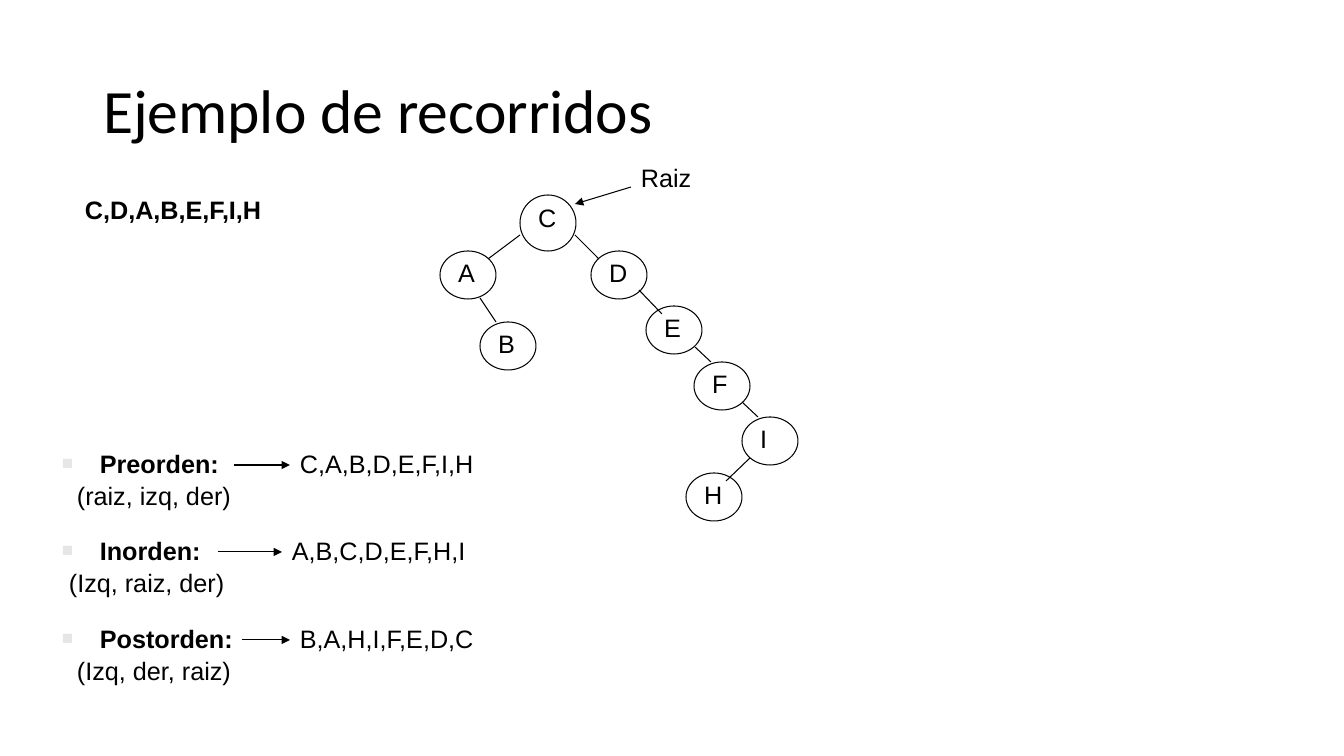
from pptx import Presentation
from pptx.dml.color import RGBColor
from pptx.enum.shapes import MSO_CONNECTOR, MSO_SHAPE
from pptx.enum.text import MSO_ANCHOR, MSO_AUTO_SIZE, PP_ALIGN
from pptx.oxml.ns import qn
from pptx.util import Pt
from lxml.etree import SubElement

PX = 914400 / 100.8
BLACK = RGBColor(0, 0, 0)
WHITE = RGBColor(255, 255, 255)
GREY = RGBColor(0xE7, 0xE6, 0xE6)


def write(shape, text, size=18, font="Arial", bold=False, space=0.8,
          anchor=MSO_ANCHOR.TOP, bullet=False):
    """Put one left-aligned paragraph of text in a shape."""
    frame = shape.text_frame
    frame.word_wrap = True
    frame.auto_size = MSO_AUTO_SIZE.NONE
    frame.vertical_anchor = anchor
    par = frame.paragraphs[0]
    par.alignment = PP_ALIGN.LEFT
    par.line_spacing = space
    run = par.add_run()
    run.text = text
    run.font.size = Pt(size)
    run.font.name = font
    run.font.bold = bold
    run.font.color.rgb = BLACK
    if bullet:
        props = par._p.get_or_add_pPr()
        props.set("marL", str(round(38 * PX)))
        props.set("indent", str(round(-38 * PX)))
        color = SubElement(props, qn("a:buClr"))
        SubElement(color, qn("a:srgbClr"), val=str(GREY))
        SubElement(props, qn("a:buSzPct"), val="75000")
        SubElement(props, qn("a:buFont"), typeface="Arial")
        SubElement(props, qn("a:buChar"), char="■")


def link(ends, arrow=False):
    """Draw a thin black line, with an arrowhead at its end if asked."""
    line = slide.shapes.add_connector(
        MSO_CONNECTOR.STRAIGHT, *[round(v * PX) for v in ends])
    line.line.color.rgb = BLACK
    line.line.width = Pt(0.75)
    if arrow:
        SubElement(line.line._get_or_add_ln(), qn("a:tailEnd"), type="triangle")
    SubElement(line._element.spPr, qn("a:effectLst"))


deck = Presentation()
deck.slide_width = round(1344 * PX)
deck.slide_height = round(756 * PX)
slide = deck.slides.add_slide(deck.slide_layouts[5])

title = slide.shapes.title
title.left, title.top, title.width, title.height = [
    round(v * PX) for v in (93, 41, 1159, 146)]
write(title, "Ejemplo de recorridos", size=44, font="Calibri", space=0.9,
      anchor=MSO_ANCHOR.MIDDLE)

# Tree nodes: name, left, top, height
nodes = [
    ("C", 520, 195, 56), ("H", 686, 473, 48), ("I", 742, 417, 48),
    ("F", 694, 362, 48), ("E", 646, 306, 48), ("B", 480, 322, 48),
    ("A", 440, 251, 48), ("D", 591, 251, 48),
]
for name, x, y, high in nodes:
    node = slide.shapes.add_shape(
        MSO_SHAPE.OVAL, *[round(v * PX) for v in (x, y, 56, high)])
    node.shadow.inherit = False
    node.fill.solid()
    node.fill.fore_color.rgb = WHITE
    node.line.color.rgb = BLACK
    node.line.width = Pt(0.75)
    write(node, name)

# Tree edges, parent to child
edges = [
    (575, 235, 599, 259), (639, 290, 662, 314), (695, 347, 711, 362),
    (742, 402, 758, 417), (750, 458, 726, 481), (520, 235, 488, 259),
    (480, 298, 496, 322),
]
for edge in edges:
    link(edge)
link((631, 187, 575, 204), arrow=True)

# Text boxes: text, left, top, width, format
texts = [
    ("C,D,A,B,E,F,I,H", 75, 195, 238, {"bold": True}),
    ("Raiz", 631, 163, 72, {}),
]

# Traversals: name, rule, rule left, arrow start, result, result left
orders = [
    ("Preorden:", "(raiz, izq, der)", 67, 234, "C,A,B,D,E,F,I,H", 290),
    ("Inorden:", "(Izq, raiz, der)", 59, 218, "A,B,C,D,E,F,H,I", 282),
    ("Postorden:", "(Izq, der, raiz)", 67, 242, "B,A,H,I,F,E,D,C", 290),
]
for row, (name, rule, left, start, result, end) in enumerate(orders):
    top = 449 + 175 * row // 2
    texts += [
        (name, 52, top, 230, {"bold": True, "bullet": True}),
        (rule, left, top + 32, 198, {}),
        (result, end, top, 210, {}),
    ]
    link((start, top + 16, end, top + 16), arrow=True)

for text, x, y, wide, style in texts:
    box = slide.shapes.add_textbox(*[round(v * PX) for v in (x, y, wide, 34)])
    write(box, text, **style)

deck.save("out.pptx")
